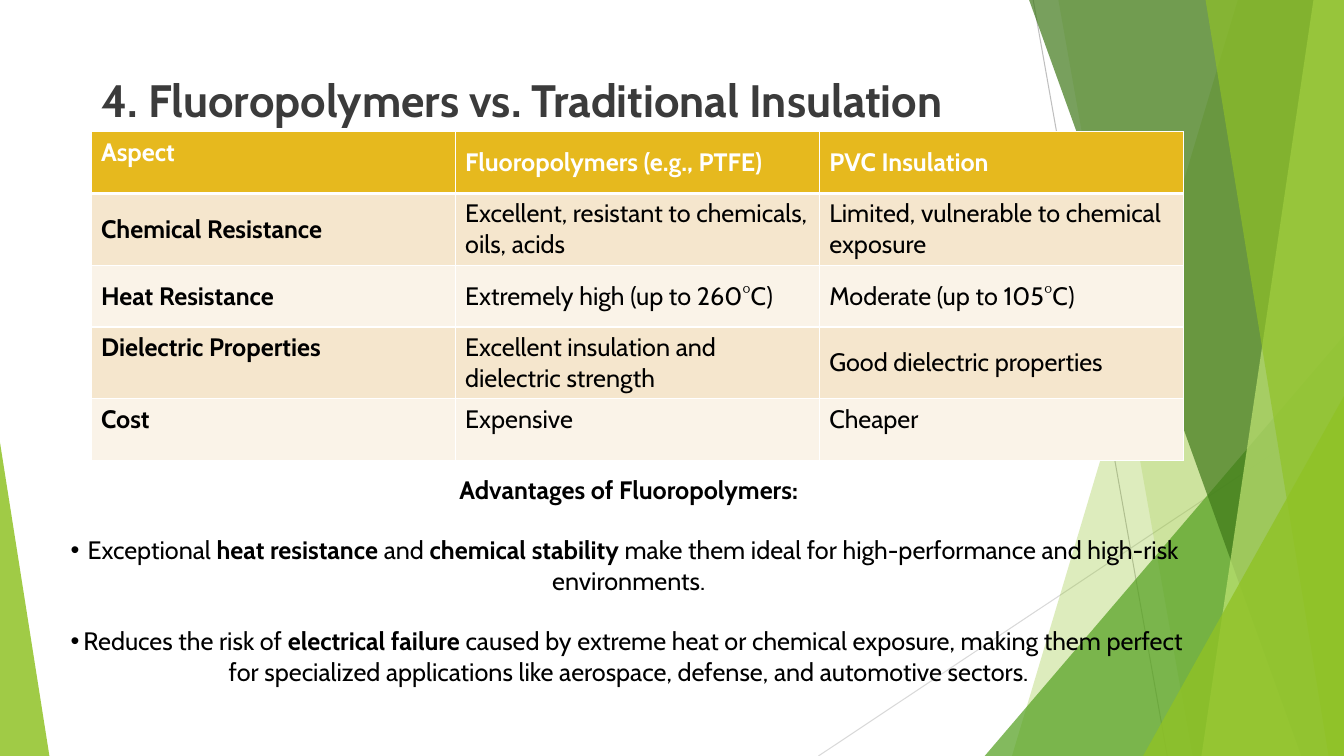
from lxml.etree import SubElement
from pptx import Presentation
from pptx.dml.color import RGBColor
from pptx.enum.shapes import MSO_CONNECTOR, MSO_SHAPE
from pptx.enum.text import MSO_ANCHOR, MSO_AUTO_SIZE, PP_ALIGN
from pptx.oxml.ns import qn
from pptx.util import Pt

WHITE = RGBColor(0xFF, 0xFF, 0xFF)
BLACK = RGBColor(0x00, 0x00, 0x00)
CHARCOAL = RGBColor(0x3B, 0x3B, 0x3B)
GOLD = RGBColor(0xE6, 0xB9, 0x1E)
SAND = RGBColor(0xF5, 0xE6, 0xCD)
CREAM = RGBColor(0xFA, 0xF3, 0xE8)
LIME = RGBColor(0x90, 0xC2, 0x26)
GREEN = RGBColor(0x54, 0xA0, 0x21)
FOREST = RGBColor(0x3F, 0x78, 0x19)
PALE_LIME = RGBColor(0xC0, 0xE4, 0x74)
GREY = RGBColor(0xBF, 0xBF, 0xBF)
LIGHT_GREY = RGBColor(0xD9, 0xD9, 0xD9)
ANCHORS = {"T": MSO_ANCHOR.TOP, "M": MSO_ANCHOR.MIDDLE}
WIDTH, HEIGHT = 960, 540

COMPARISON = [
    ("TMM", ["Aspect", "Fluoropolymers (e.g., PTFE)", "PVC Insulation"]),
    ("MTT", ["Chemical Resistance", "Excellent, resistant to chemicals, oils, acids",
             "Limited, vulnerable to chemical exposure"]),
    ("MMM", ["Heat Resistance", "Extremely high (up to 260°C)", "Moderate (up to 105°C)"]),
    ("TMM", ["Dielectric Properties", "Excellent insulation and dielectric strength",
             "Good dielectric properties"]),
    ("TTT", ["Cost", "Expensive", "Cheaper"]),
]
ADVANTAGES = [
    "Exceptional **heat resistance** and **chemical stability** make them ideal for "
    "high-performance and high-risk environments.",
    "Reduces the risk of **electrical failure** caused by extreme heat or chemical exposure, "
    "making them perfect for specialized applications like aerospace, defense, and "
    "automotive sectors.",
]


def write(paragraph, text, size=18, color=BLACK, bold=False, align=PP_ALIGN.LEFT, before=0):
    """Fill a paragraph, switching bold at each double asterisk."""
    paragraph.alignment = align
    paragraph.space_before = Pt(before)
    for position, part in enumerate(text.split("**")):
        run = paragraph.add_run()
        run.text = part
        run.font.name = "Cabin"
        run.font.size = Pt(size)
        run.font.bold = bold or position % 2 == 1
        run.font.color.rgb = color


class Deck:
    """Hold the presentation style and the current slide."""

    def __init__(self):
        self.presentation = Presentation()
        self.presentation.slide_width = Pt(WIDTH)
        self.presentation.slide_height = Pt(HEIGHT)
        self.slide = self.presentation.slides.add_slide(self.presentation.slide_layouts[5])
        self.shapes = self.slide.shapes

    def title(self, text, left, top, width, height):
        """Place and format the title placeholder."""
        heading = self.shapes.title
        heading.left, heading.top = Pt(left), Pt(top)
        heading.width, heading.height = Pt(width), Pt(height)
        frame = heading.text_frame
        frame.auto_size = MSO_AUTO_SIZE.NONE
        frame.vertical_anchor = MSO_ANCHOR.TOP
        write(frame.paragraphs[0], text, size=32.4, color=CHARCOAL, bold=True)

    def ray(self, start, end, color):
        """Draw a thin background line."""
        line = self.shapes.add_connector(
            MSO_CONNECTOR.STRAIGHT, *(Pt(value) for value in start + end))
        line.line.color.rgb = color
        line.line.width = Pt(0.75)
        SubElement(line._element.spPr, qn("a:effectLst"))

    def tint(self, shape, color, opacity):
        """Give a shape a translucent fill without outline or shadow."""
        shape.shadow.inherit = False
        shape.line.fill.background()
        shape.fill.solid()
        shape.fill.fore_color.rgb = color
        value = shape._element.spPr.find(qn("a:solidFill"))[0]
        SubElement(value, qn("a:alpha")).set("val", str(opacity * 1000))

    def facet(self, top_left, bottom_left, color, opacity):
        """Draw a full-height panel that ends at the right slide edge."""
        builder = self.shapes.build_freeform(Pt(top_left), 0)
        builder.add_line_segments(
            [(Pt(x), Pt(y)) for x, y in ((WIDTH, 0), (WIDTH, HEIGHT), (bottom_left, HEIGHT))])
        self.tint(builder.convert_to_shape(), color, opacity)

    def corner(self, left, top, width, apex, color, opacity):
        """Draw a triangle that stands on the bottom slide edge."""
        triangle = self.shapes.add_shape(
            MSO_SHAPE.ISOSCELES_TRIANGLE, Pt(left), Pt(top), Pt(width), Pt(HEIGHT - top))
        triangle.adjustments[0] = apex
        self.tint(triangle, color, opacity)

    def border(self, cell, widths):
        """Draw white cell borders with a width for each side."""
        properties = cell._tc.get_or_add_tcPr()
        for side, width in widths.items():
            edge = SubElement(properties, qn(f"a:ln{side}"), w=str(Pt(width)))
            paint = SubElement(edge, qn("a:solidFill"))
            SubElement(paint, qn("a:srgbClr"), val=str(WHITE))

    def table(self, rows, left, top, column_width, row_height):
        """Draw the comparison with a gold header and banded rows."""
        columns = len(rows[0][1])
        grid = self.shapes.add_table(
            len(rows), columns, Pt(left), Pt(top),
            Pt(column_width * columns), Pt(row_height * len(rows))).table
        for column in grid.columns:
            column.width = Pt(column_width)
        for r, (anchors, texts) in enumerate(rows):
            grid.rows[r].height = Pt(row_height)
            band = GOLD if r == 0 else SAND if r % 2 else CREAM
            for c, text in enumerate(texts):
                cell = grid.cell(r, c)
                self.border(cell, {"L": 1, "R": 1, "T": 3 if r == 1 else 1,
                                   "B": 3 if r == 0 else 1})
                cell.fill.solid()
                cell.fill.fore_color.rgb = band
                cell.vertical_anchor = ANCHORS[anchors[c]]
                write(cell.text_frame.paragraphs[0], text,
                      color=BLACK if r else WHITE, bold=r == 0 or c == 0)

    def bullets(self, heading, items, left, top, width, height):
        """Write a centred heading with centred bullets below."""
        frame = self.shapes.add_textbox(Pt(left), Pt(top), Pt(width), Pt(height)).text_frame
        frame.word_wrap = True
        frame.auto_size = MSO_AUTO_SIZE.SHAPE_TO_FIT_TEXT
        write(frame.paragraphs[0], heading, bold=True, align=PP_ALIGN.CENTER)
        for item in items:
            paragraph = frame.add_paragraph()
            write(paragraph, item, align=PP_ALIGN.CENTER, before=21.8)
            properties = paragraph._p.get_or_add_pPr()
            SubElement(properties, qn("a:buFont"), typeface="Arial")
            SubElement(properties, qn("a:buChar"), char="•")


def main():
    """Build and save the slide."""
    deck = Deck()
    deck.ray((738, 0), (833.8, HEIGHT), GREY)
    deck.ray((WIDTH, 290.2), (584.6, HEIGHT), LIGHT_GREY)
    deck.facet(884.2, 722.9, LIME, 30)
    deck.facet(756, 851.8, LIME, 20)
    deck.corner(703.4, 239.8, 256.6, 1, GREEN, 72)
    deck.facet(735.1, 929.5, FOREST, 70)
    deck.facet(938.2, 858.2, PALE_LIME, 70)
    deck.facet(861.1, 949, LIME, 65)
    deck.corner(816.5, 283, 143.5, 1, LIME, 80)
    deck.corner(0, 316.1, 35.3, 0, LIME, 85)
    deck.title("4. Fluoropolymers vs. Traditional Insulation", 65, 48.2, 676.8, 46)
    deck.table(COMPARISON, 65, 94, 260.1, 44.2)
    deck.bullets("Advantages of Fluoropolymers:", ADVANTAGES, 43.4, 335, 811.4, 181.4)
    deck.presentation.save("out.pptx")


if __name__ == "__main__":
    main()
